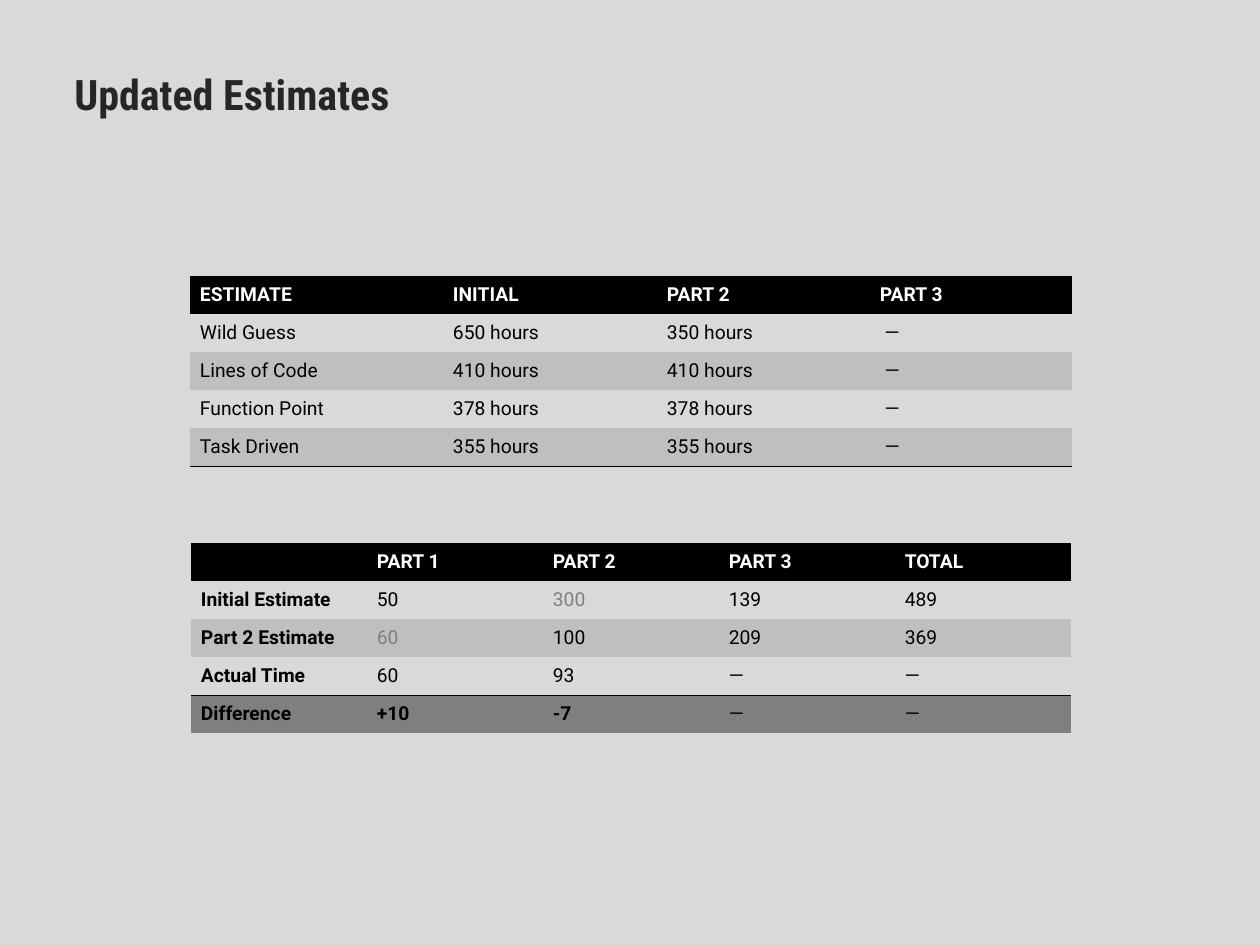
import pptx
import pptx.dml.color
import pptx.enum.text
import pptx.oxml.ns
import pptx.util
from lxml import etree

BLACK = pptx.dml.color.RGBColor(0x00, 0x00, 0x00)
WHITE = pptx.dml.color.RGBColor(0xFF, 0xFF, 0xFF)
INK = pptx.dml.color.RGBColor(0x26, 0x26, 0x26)
GRAY = pptx.dml.color.RGBColor(0x7F, 0x7F, 0x7F)
BAND = pptx.dml.color.RGBColor(0xBF, 0xBF, 0xBF)
BACKGROUND = pptx.dml.color.RGBColor(0xD9, 0xD9, 0xD9)
NO_STYLE = "{2D5ABB26-0587-4C30-8999-92F81FD0307C}"
ROW_HEIGHT = 38
qn = pptx.oxml.ns.qn


def px(length):
    return pptx.util.Emu(round(length * 914400 / 126))


def add_rule(cell, side):
    line = etree.Element(qn(side), w="6350")
    fill = etree.SubElement(line, qn("a:solidFill"))
    etree.SubElement(fill, qn("a:srgbClr"), val=str(BLACK))
    cell._tc.get_or_add_tcPr().insert(0, line)


presentation = pptx.Presentation()
presentation.slide_width = px(1260)
presentation.slide_height = px(945)
slide = presentation.slides.add_slide(presentation.slide_layouts[6])
slide.background.fill.solid()
slide.background.fill.fore_color.rgb = BACKGROUND

title = slide.shapes.add_textbox(px(62), px(62), px(343), px(63))
title.text_frame.word_wrap = False
title.text_frame.auto_size = pptx.enum.text.MSO_AUTO_SIZE.SHAPE_TO_FIT_TEXT
paragraph = title.text_frame.paragraphs[0]
paragraph.text = "Updated Estimates"
paragraph.font.name = "Roboto Condensed"
paragraph.font.size = pptx.util.Pt(24)
paragraph.font.bold = True
paragraph.font.color.rgb = INK

estimates = {
    "left": 190,
    "top": 276,
    "columns": [253, 214, 213, 202],
    "rows": [
        ["ESTIMATE", "INITIAL", "PART 2", "PART 3"],
        ["Wild Guess", "650 hours", "350 hours", " ―"],
        ["Lines of Code", "410 hours", "410 hours", " ―"],
        ["Function Point", "378 hours", "378 hours", " ―"],
        ["Task Driven", "355 hours", "355 hours", " ―"],
    ],
    "fills": [BLACK, None, BAND, None, BAND],
    "bold": set(),
    "muted": set(),
    "rules": {4: "a:lnB"},
}
differences = {
    "left": 191,
    "top": 543,
    "columns": [176] * 5,
    "rows": [
        ["", "PART 1", "PART 2", "PART 3", "TOTAL"],
        ["Initial Estimate", "50", "300", "139", "489"],
        ["Part 2 Estimate", "60", "100", "209", "369"],
        ["Actual Time", "60", "93", "―", "―"],
        ["Difference", "+10", "-7", "―", "―"],
    ],
    "fills": [BLACK, None, BAND, None, GRAY],
    "bold": {(1, 0), (2, 0), (3, 0), (4, 0), (4, 1), (4, 2)},
    "muted": {(1, 2), (2, 1)},
    "rules": {3: "a:lnB", 4: "a:lnT"},
}

for data in (differences, estimates):
    rows, columns = data["rows"], data["columns"]
    table = slide.shapes.add_table(
        len(rows), len(columns), px(data["left"]), px(data["top"]),
        px(sum(columns)), px(ROW_HEIGHT * len(rows)),
    ).table
    table.first_row = False
    table.horz_banding = False
    table._tbl.tblPr.find(qn("a:tableStyleId")).text = NO_STYLE
    for column, width in zip(table.columns, columns):
        column.width = px(width)
    for row_index, texts in enumerate(rows):
        table.rows[row_index].height = px(ROW_HEIGHT)
        fill_color = data["fills"][row_index]
        for column_index, text in enumerate(texts):
            position = (row_index, column_index)
            cell = table.cell(row_index, column_index)
            cell.margin_left = cell.margin_right = px(10)
            cell.margin_top = cell.margin_bottom = px(7)
            cell.vertical_anchor = pptx.enum.text.MSO_ANCHOR.MIDDLE
            if fill_color is None:
                cell.fill.background()
            else:
                cell.fill.solid()
                cell.fill.fore_color.rgb = fill_color
            if row_index in data["rules"]:
                add_rule(cell, data["rules"][row_index])
            paragraph = cell.text_frame.paragraphs[0]
            paragraph.alignment = pptx.enum.text.PP_ALIGN.JUSTIFY
            paragraph.space_after = pptx.util.Pt(12)
            paragraph.font.name = "Roboto"
            paragraph.font.size = pptx.util.Pt(11)
            paragraph.font.bold = row_index == 0 or position in data["bold"]
            if row_index == 0:
                paragraph.font.color.rgb = WHITE
            else:
                paragraph.font.color.rgb = GRAY if position in data["muted"] else BLACK
            if text:
                paragraph.text = text
            else:
                etree.SubElement(paragraph._p, qn("a:endParaRPr"), sz="1100")

presentation.save("out.pptx")
